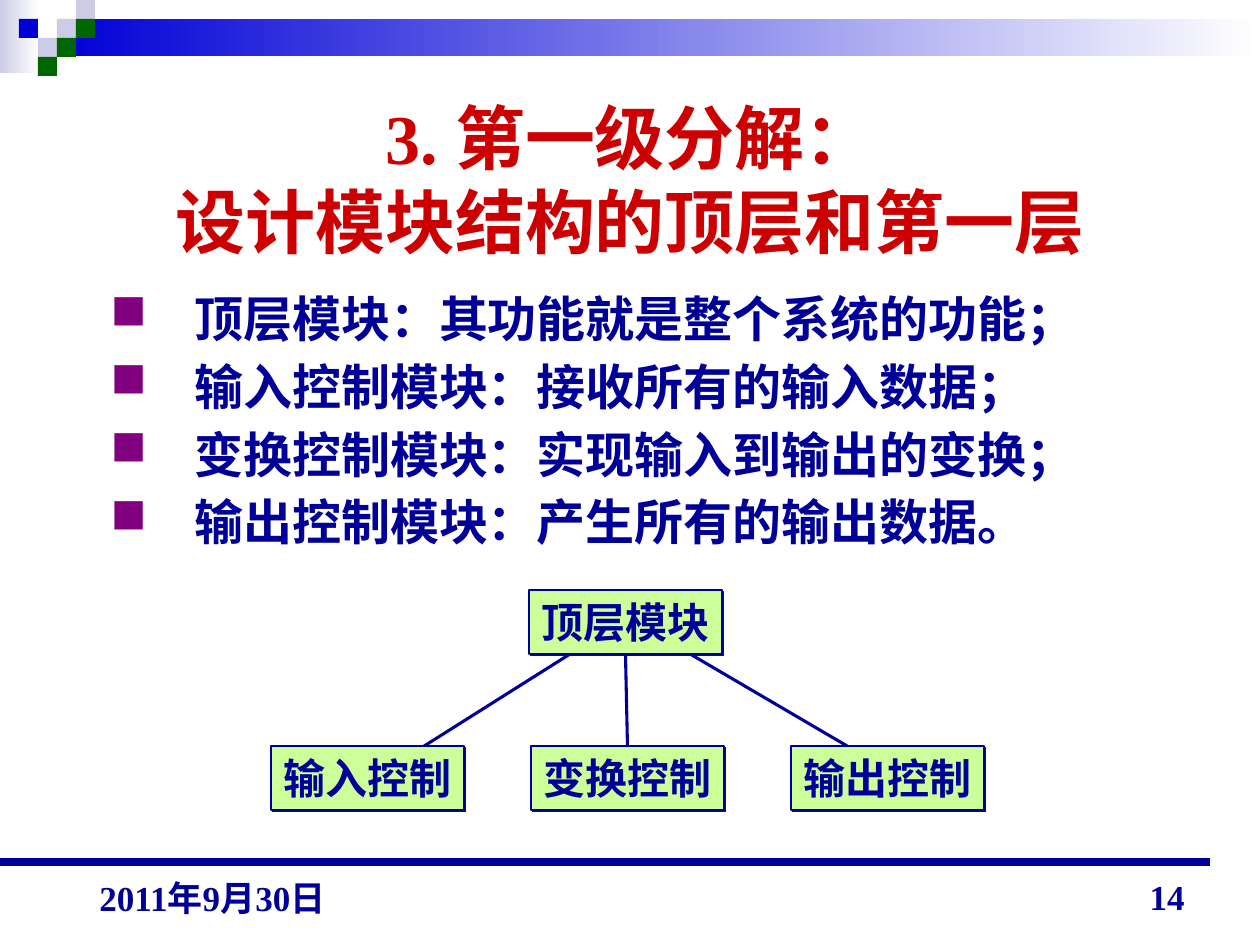
from dataclasses import dataclass

from lxml import etree
from pptx import Presentation
from pptx.dml.color import RGBColor
from pptx.enum.shapes import MSO_CONNECTOR, MSO_SHAPE
from pptx.enum.text import MSO_ANCHOR, MSO_AUTO_SIZE, PP_ALIGN
from pptx.oxml.ns import qn
from pptx.util import Pt

EMU_PER_PX = 914400 / 126
RECTANGLE = MSO_SHAPE.RECTANGLE
STRAIGHT = MSO_CONNECTOR.STRAIGHT
LEFT, CENTER, RIGHT, JUSTIFY = PP_ALIGN.LEFT, PP_ALIGN.CENTER, PP_ALIGN.RIGHT, PP_ALIGN.JUSTIFY
TOP, MIDDLE, BOTTOM = MSO_ANCHOR.TOP, MSO_ANCHOR.MIDDLE, MSO_ANCHOR.BOTTOM
FIT_SHAPE = MSO_AUTO_SIZE.SHAPE_TO_FIT_TEXT
BOTTOM_SIDE, TOP_SIDE = 2, 0
FONT = "Times New Roman"
COLORS = {
    "white": "FFFFFF",
    "lavender": "CCCCE6",
    "blue": "0000D6",
    "green": "006600",
    "navy": "000099",
    "red": "CC0000",
    "purple": "800080",
    "lime": "CCFF99",
}


@dataclass(frozen=True)
class Area:
    x: int
    y: int
    width: int
    height: int


@dataclass(frozen=True)
class Tile:
    column: int
    row: int
    color: str


@dataclass(frozen=True)
class Module:
    label: str
    x: int
    y: int


TILE_SIZE = 19
TILES = [
    Tile(3, 1, "lavender"),
    Tile(4, 0, "lavender"),
    Tile(4, 1, "green"),
    Tile(2, 2, "lavender"),
    Tile(1, 1, "blue"),
    Tile(3, 2, "green"),
    Tile(2, 3, "green"),
]
DUTIES = [
    "顶层模块：其功能就是整个系统的功能；",
    "输入控制模块：接收所有的输入数据；",
    "变换控制模块：实现输入到输出的变换；",
    "输出控制模块：产生所有的输出数据。",
]
TOP_MODULE = Module("顶层模块", 529, 590)
CONTROLS = [
    Module(label, 271 + 260 * index, 746)
    for index, label in enumerate(["输入控制", "变换控制", "输出控制"])
]


def px(length: int) -> int:
    return round(length * EMU_PER_PX)


def rgb(color: str) -> RGBColor:
    return RGBColor.from_string(COLORS[color])


def add_rectangle(slide, area: Area, color: str, fade: bool = False):
    rectangle = slide.shapes.add_shape(
        RECTANGLE, px(area.x), px(area.y), px(area.width), px(area.height)
    )
    rectangle.shadow.inherit = False
    rectangle.line.fill.background()
    if fade:
        rectangle.fill.gradient()
        rectangle.fill.gradient_angle = 180
        for stop, shade in zip(rectangle.fill.gradient_stops, ("white", color)):
            stop.color.rgb = rgb(shade)
    else:
        rectangle.fill.solid()
        rectangle.fill.fore_color.rgb = rgb(color)
    return rectangle


def add_line(slide, start: tuple[int, int], end: tuple[int, int], weight: float):
    line = slide.shapes.add_connector(STRAIGHT, *map(px, start + end))
    line.line.color.rgb = rgb("navy")
    line.line.width = Pt(weight)
    etree.SubElement(line._element.spPr, qn("a:effectLst"))
    return line


def add_bullet(paragraph) -> None:
    properties = paragraph._p.get_or_add_pPr()
    properties.set("marL", str(px(84)))
    properties.set("indent", str(-px(84)))
    bullet_color = etree.SubElement(properties, qn("a:buClr"))
    etree.SubElement(bullet_color, qn("a:srgbClr"), val=COLORS["purple"])
    etree.SubElement(properties, qn("a:buChar"), char="■")


def write(frame, lines: list[str], *, size: int, color: str = "navy", align=LEFT,
          anchor=TOP, wrap: bool = True, bulleted: bool = False, gap: float = 0) -> None:
    frame.word_wrap = wrap
    frame.vertical_anchor = anchor
    for index, line in enumerate(lines):
        paragraph = frame.add_paragraph() if index else frame.paragraphs[0]
        paragraph.alignment = align
        if index and gap:
            paragraph.space_before = Pt(gap)
        if bulleted:
            add_bullet(paragraph)
        paragraph.text = line
        for run in paragraph.runs:
            run.font.name = FONT
            run.font.size = Pt(size)
            run.font.bold = True
            run.font.color.rgb = rgb(color)


def add_text(slide, area: Area, lines: list[str], **text_format) -> None:
    textbox = slide.shapes.add_textbox(
        px(area.x), px(area.y), px(area.width), px(area.height)
    )
    write(textbox.text_frame, lines, **text_format)


def add_module(slide, module: Module):
    box = add_rectangle(slide, Area(module.x, module.y, 193, 64), "lime")
    box.line.color.rgb = rgb("navy")
    box.line.width = Pt(0.75)
    effects = box._element.spPr.find(qn("a:effectLst"))
    shadow = etree.SubElement(
        effects, qn("a:outerShdw"), blurRad="0", dist=str(Pt(1.4)),
        dir="2700000", algn="ctr", rotWithShape="0",
    )
    etree.SubElement(shadow, qn("a:srgbClr"), val=COLORS["blue"])
    write(box.text_frame, [module.label], size=24, wrap=False)
    box.text_frame.auto_size = FIT_SHAPE
    return box


def add_banner(slide) -> None:
    add_rectangle(slide, Area(0, 0, 39, 73), "lavender", fade=True)
    add_rectangle(slide, Area(57, 19, 1203, 37), "blue", fade=True)
    for tile in TILES:
        corner = (tile.column * TILE_SIZE, tile.row * TILE_SIZE)
        add_rectangle(slide, Area(*corner, TILE_SIZE, TILE_SIZE), tile.color)


def add_hierarchy(slide) -> None:
    add_line(slide, (871, 760), (685, 651), 1.75)
    add_line(slide, (410, 755), (578, 649), 1.75)
    root = add_module(slide, TOP_MODULE)
    _, transform, _ = [add_module(slide, control) for control in CONTROLS]
    trunk = add_line(slide, (627, 654), (627, 746), 1.75)
    trunk.begin_connect(root, BOTTOM_SIDE)
    trunk.end_connect(transform, TOP_SIDE)


def main() -> None:
    presentation = Presentation()
    presentation.slide_width, presentation.slide_height = px(1260), px(945)
    slide = presentation.slides.add_slide(presentation.slide_layouts[6])
    add_banner(slide)
    add_line(slide, (0, 862), (1210, 862), 4.5)
    add_text(slide, Area(63, 84, 1134, 189), ["3. 第一级分解：\v设计模块结构的顶层和第一层"],
             size=40, color="red", align=CENTER, anchor=MIDDLE)
    add_text(slide, Area(98, 282, 1089, 299), DUTIES,
             size=28, align=JUSTIFY, bulleted=True, gap=5.2)
    add_hierarchy(slide)
    add_text(slide, Area(903, 861, 294, 63), ["14"], size=20, align=RIGHT, anchor=BOTTOM)
    add_text(slide, Area(87, 859, 294, 66), ["2011年9月30日"], size=20, anchor=BOTTOM)
    presentation.save("out.pptx")


if __name__ == "__main__":
    main()
